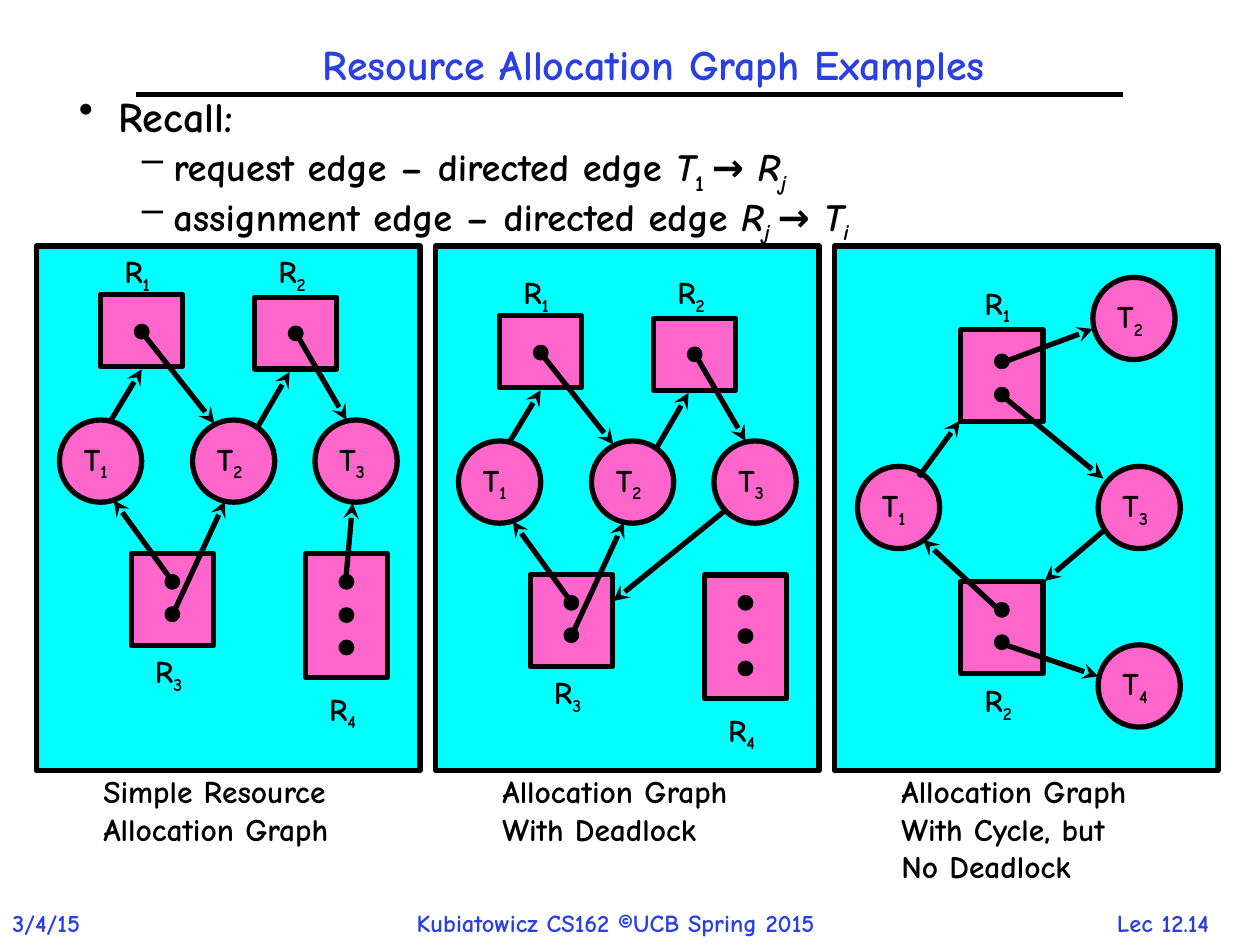
from lxml import etree
from pptx import Presentation
from pptx.dml.color import RGBColor
from pptx.enum.shapes import MSO_CONNECTOR, MSO_SHAPE
from pptx.enum.text import MSO_ANCHOR, PP_ALIGN
from pptx.oxml.ns import qn
from pptx.util import Pt

LEFT, CENTER = PP_ALIGN.LEFT, PP_ALIGN.CENTER
TOP, MIDDLE = MSO_ANCHOR.TOP, MSO_ANCHOR.MIDDLE
RECT, OVAL = MSO_SHAPE.RECTANGLE, MSO_SHAPE.OVAL
STRAIGHT = MSO_CONNECTOR.STRAIGHT

FONT = "Comic Neue"
COLORS = {"ink": "000000", "accent": "2A40E2", "panel": "00FFFF", "node": "FF66CC"}
NODE = 47  # thread diameter and resource width
DOT = 6

# Threads: number, x, y
# Resources: number, x, y, height, dot offsets, label y
# Edges: x and y of start, x and y of end
THREADS = [(1, 13, 99.5), (2, 89, 99.5), (3, 159, 99.5)]
RESOURCES = [
    (1, 36.5, 28, 41, [18], 0),
    (2, 124.5, 29.5, 41, [17.5], 0),
    (3, 54, 176, 52.5, [13, 31.5], 228.5),
    (4, 153.5, 176, 70.5, [13, 32, 50.5], 250),
]
SHARED_EDGES = [
    (42.5, 99.5, 60, 70.5), (61, 50.5, 101.5, 101.5),
    (126.5, 103, 144.5, 72), (148.5, 50.5, 177, 99.5),
    (77, 191, 44, 145.5), (78, 210, 107.5, 146),
]
SIMPLE_EDGES = SHARED_EDGES + [(176.5, 192, 180.5, 147)]
DEADLOCK_EDGES = SHARED_EDGES + [(165, 139.5, 101.5, 191)]
CYCLE_THREADS = [(1, 13, 126), (2, 147.5, 18), (3, 150.5, 126), (4, 150.5, 228)]
CYCLE_RESOURCES = [
    (1, 72, 48, 52.5, [15, 34], 18),
    (2, 72, 192, 52.5, [13, 31.5], 245),
]
CYCLE_EDGES = [
    (48, 132, 71.5, 100), (95, 209, 50.5, 168), (94.5, 227, 150.5, 246),
    (154, 162.5, 120, 191.5), (95, 85, 153.5, 133), (95, 67, 147.5, 47.5),
]


def rgb(name):
    return RGBColor.from_string(COLORS[name])


def style_para(para, size, color="ink", align=LEFT):
    para.alignment = align
    font = para.font
    font.name, font.size, font.bold = FONT, Pt(size), True
    font.color.rgb = rgb(color)


def add_spans(para, spans):
    """Add (text, style) pairs; style holds i for italic and s for subscript."""
    for text, style in spans:
        span = para.add_run()
        span.text = text
        if "i" in style:
            span.font.italic = True
        if "s" in style:
            span.font._element.set("baseline", "-25000")


def add_text(page, box, text, size, color="ink", align=LEFT, anchor=TOP, wrap=False):
    frame = page.shapes.add_textbox(*map(Pt, box)).text_frame
    frame.word_wrap = wrap
    frame.vertical_anchor = anchor
    frame.text = text
    for para in frame.paragraphs:
        style_para(para, size, color, align)
    return frame


def add_solid(page, kind, box, fill):
    shape = page.shapes.add_shape(kind, *map(Pt, box))
    shape.shadow.inherit = False
    shape.fill.solid()
    shape.fill.fore_color.rgb = rgb(fill)
    shape.line.color.rgb = rgb("ink")
    shape.line.width = Pt(3)
    return shape


def add_line(page, ends, arrow=False):
    line = page.shapes.add_connector(STRAIGHT, *map(Pt, ends))
    line.line.color.rgb = rgb("ink")
    line.line.width = Pt(3)
    if arrow:
        etree.SubElement(line.line._get_or_add_ln(), qn("a:tailEnd"), type="stealth")
    etree.SubElement(line._element.spPr, qn("a:effectLst"))


def add_node_name(frame, letter, number):
    frame.word_wrap = False
    para = frame.paragraphs[0]
    style_para(para, 18)
    add_spans(para, [(letter, ""), (str(number), "s")])


def add_thread(page, x, y, number):
    circle = add_solid(page, OVAL, (x, y, NODE, NODE), "node")
    circle.text_frame.vertical_anchor = MIDDLE
    add_node_name(circle.text_frame, "T", number)


def add_resource(page, x, y, height, number, dots, label_y):
    add_solid(page, RECT, (x, y, NODE, height), "node")
    for dot in dots:
        add_solid(page, OVAL, (x + (NODE - DOT) / 2, y + dot, DOT, DOT), "ink")
    label = page.shapes.add_textbox(Pt(x + 6.5), Pt(label_y), Pt(33), Pt(29))
    add_node_name(label.text_frame, "R", number)


def add_graph_panel(page, box, caption, threads, resources, edges, drop=0):
    """Draw one framed graph, its content lowered by drop, with a caption below."""
    left, top, _, height = box
    graph_top = top + drop
    add_solid(page, RECT, box, "panel")
    for number, x, y in threads:
        add_thread(page, left + x, graph_top + y, number)
    for number, x, y, tall, dots, label_y in resources:
        add_resource(page, left + x, graph_top + y, tall, number, dots, graph_top + label_y)
    for x1, y1, x2, y2 in edges:
        add_line(page, (left + x1, graph_top + y1, left + x2, graph_top + y2), arrow=True)
    add_text(page, (left + 31, top + height - 3, 157, 50), caption, 18)


def add_header(page, box):
    title = add_text(page, box, "Resource Allocation Graph Examples", 24, "accent",
                     CENTER, MIDDLE, wrap=True)
    title.paragraphs[0].line_spacing = 0.9
    add_line(page, (78, 54, 642, 54))


def add_recall(page, box):
    frame = add_text(page, box, "", 24, wrap=True)
    items = [
        (0, [("Recall:", "")]),
        (1, [("request edge – directed edge ", ""), ("T", "i"), ("1 ", "s"),
             ("→ ", ""), ("R", "i"), ("j", "is")]),
        (1, [("assignment edge – directed edge ", ""), ("R", "i"), ("j ", "is"),
             ("→ ", ""), ("T", "i"), ("i", "is")]),
    ]
    levels = [("•", 24, 22.5, 22.5), ("–", 22, 54, 18)]
    for index, (level, spans) in enumerate(items):
        para = frame.add_paragraph() if index else frame.paragraphs[0]
        bullet, size, margin, hang = levels[level]
        para.level = level
        para.line_spacing = 0.8
        para.space_before = Pt(size * 0.2)
        style_para(para, size)
        props = para._p.get_or_add_pPr()
        props.set("marL", str(Pt(margin)))
        props.set("indent", str(-Pt(hang)))
        mark = etree.Element(qn("a:buChar"), char=bullet)
        props.find(qn("a:defRPr")).addprevious(mark)
        add_spans(para, spans)


def add_footer(page, top):
    add_text(page, (616.5, top, 96, 24), "Lec 12.14", 14, "accent", CENTER)
    add_text(page, (0, top, 63.5, 24), "3/4/15", 14, "accent")
    add_text(page, (231, top, 278.5, 24), "Kubiatowicz CS162 ©UCB Spring 2015", 14, "accent")


def main():
    deck = Presentation()
    deck.slide_width, deck.slide_height = Pt(720), Pt(540)
    page = deck.slides.add_slide(deck.slide_layouts[6])
    add_footer(page, 515.5)
    add_header(page, (48, 18, 651, 40.5))
    panels = [
        ("Simple Resource\nAllocation Graph", THREADS, RESOURCES, SIMPLE_EDGES, 0),
        ("Allocation Graph\nWith Deadlock", THREADS, RESOURCES, DEADLOCK_EDGES, 12),
        ("Allocation Graph\nWith Cycle, but\nNo Deadlock",
         CYCLE_THREADS, CYCLE_RESOURCES, CYCLE_EDGES, 0),
    ]
    for index, panel in enumerate(panels):
        add_graph_panel(page, (21 + 228 * index, 140.5, 219, 300), *panel)
    add_recall(page, (38, 53.5, 630, 102))
    deck.save("out.pptx")


if __name__ == "__main__":
    main()
